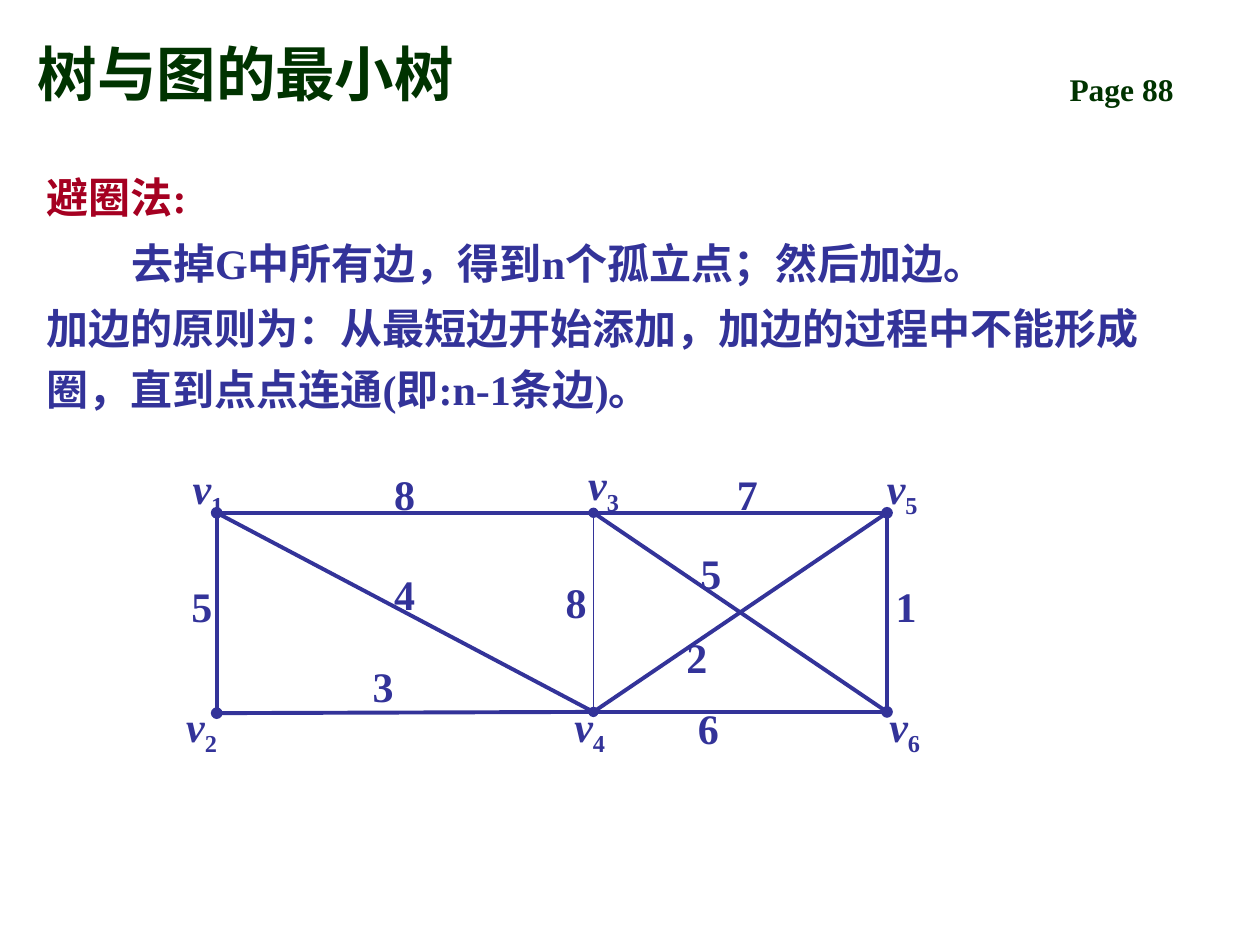
from lxml import etree
from pptx import Presentation
from pptx.dml.color import RGBColor
from pptx.enum.shapes import MSO_CONNECTOR
from pptx.enum.text import MSO_ANCHOR, MSO_AUTO_SIZE, PP_ALIGN
from pptx.oxml.ns import qn
from pptx.util import Inches, Pt

STRAIGHT = MSO_CONNECTOR.STRAIGHT
TOP, BOTTOM = MSO_ANCHOR.TOP, MSO_ANCHOR.BOTTOM
LEFT = PP_ALIGN.LEFT
FIXED, GROW = MSO_AUTO_SIZE.NONE, MSO_AUTO_SIZE.SHAPE_TO_FIT_TEXT

COLORS = {"heading": "003300", "method": "A50021", "graph": "333399"}
COLUMNS, ROWS = 100, 75

VERTICES = {
    "1": (17.2, 40.7), "2": (17.2, 56.6),
    "3": (47.1, 40.7), "4": (47.1, 56.5),
    "5": (70.4, 40.7), "6": (70.4, 56.5),
}
VERTEX_LABELS = {
    "1": (14.3, 36.2), "2": (13.8, 55.1), "3": (45.7, 35.9),
    "4": (44.6, 55.1), "5": (69.4, 36.2), "6": (69.6, 55.1),
}
EDGES = [
    ("1", "2", "5", (14.2, 45.6)), ("1", "3", "8", (30.3, 36.7)),
    ("2", "4", "3", (28.6, 51.9)), ("1", "4", "4", (30.3, 44.6)),
    ("3", "4", "8", (43.9, 45.3)), ("3", "5", "7", (57.5, 36.7)),
    ("5", "4", "2", (53.5, 49.6)), ("3", "6", "5", (54.6, 43)),
    ("4", "6", "6", (54.4, 55.3)), ("5", "6", "1", (70.1, 45.6)),
]
DOTTED_EDGES = {"12", "34", "56"}
THIN_EDGES = {"34"}
EXPLANATION = [
    ("避圈法:", "method", 0),
    ("去掉G中所有边，得到n个孤立点；然后加边。", "graph", 0.67),
    ("加边的原则为：从最短边开始添加，加边的过程中不能形成圈，直到点点连通(即:n-1条边)。", "graph", 0),
]


def write(paragraph, text, size=24, color="graph", italic=False, baseline=0):
    """Add a bold run of text in the slide's font."""
    run = paragraph.add_run()
    run.text = text
    run.font.name = "Times New Roman"
    run.font.size = Pt(size)
    run.font.bold = True
    run.font.italic = italic
    run.font.color.rgb = RGBColor.from_string(COLORS[color])
    if baseline:
        run._r.get_or_add_rPr().set("baseline", str(baseline * 1000))


class GraphSlide:
    """Place titles, text and graph parts on a grid over one slide."""

    def __init__(self, deck):
        self.cell_width = deck.slide_width / COLUMNS
        self.cell_height = deck.slide_height / ROWS
        self.slide = deck.slides.add_slide(deck.slide_layouts[1])

    def point(self, column, row):
        return round(column * self.cell_width), round(row * self.cell_height)

    def place(self, holder, column, row, columns, rows, anchor):
        holder.left, holder.top = self.point(column, row)
        holder.width, holder.height = self.point(columns, rows)
        frame = holder.text_frame
        frame.auto_size = FIXED
        frame.vertical_anchor = anchor
        return frame

    def title(self, text, *area):
        frame = self.place(self.slide.shapes.title, *area, BOTTOM)
        frame.paragraphs[0].alignment = LEFT
        write(frame.paragraphs[0], text, size=34, color="heading")

    def body(self, entries, *area):
        frame = self.place(self.slide.placeholders[1], *area, TOP)
        for index, (text, color, indent) in enumerate(entries):
            paragraph = frame.add_paragraph() if index else frame.paragraphs[0]
            properties = paragraph._p.get_or_add_pPr()
            properties.set("marL", "0")
            properties.set("indent", str(Inches(indent)))
            etree.SubElement(properties, qn("a:buNone"))
            paragraph.line_spacing = 1.2
            paragraph.space_before = Pt(3 if index else 0)
            write(paragraph, text, color=color)

    def label(self, text, position, columns=3.7, rows=5, subscript="", **style):
        box = self.slide.shapes.add_textbox(
            *self.point(*position), *self.point(columns, rows))
        box.text_frame.word_wrap = False
        box.text_frame.auto_size = GROW
        paragraph = box.text_frame.paragraphs[0]
        write(paragraph, text, **style)
        if subscript:
            write(paragraph, subscript, baseline=-25)

    def edge(self, start, end):
        edge = self.slide.shapes.add_connector(
            STRAIGHT, *self.point(*VERTICES[start]), *self.point(*VERTICES[end]))
        edge.line.color.rgb = RGBColor.from_string(COLORS["graph"])
        edge.line.width = Pt(0.75 if start + end in THIN_EDGES else 2.25)
        properties = edge._element.spPr
        if start + end in DOTTED_EDGES:
            for tip in ("a:headEnd", "a:tailEnd"):
                etree.SubElement(properties.find(qn("a:ln")), qn(tip), type="oval")
        etree.SubElement(properties, qn("a:effectLst"))


def main():
    deck = Presentation()
    deck.slide_width, deck.slide_height = Inches(10), Inches(7.5)
    page = GraphSlide(deck)
    page.label("Page 88", (83.9, 5.1), 14.2, 4, size=18, color="heading")
    page.title("树与图的最小树", 2, 1.3, 80.3, 7.8)
    page.body(EXPLANATION, 2.7, 12.3, 89, 22)
    for start, end, _, _ in EDGES:
        page.edge(start, end)
    for vertex, position in VERTEX_LABELS.items():
        page.label("v", position, 4.6, subscript=vertex, italic=True)
    for _, _, weight, position in EDGES:
        page.label(weight, position)
    deck.save("out.pptx")


if __name__ == "__main__":
    main()
